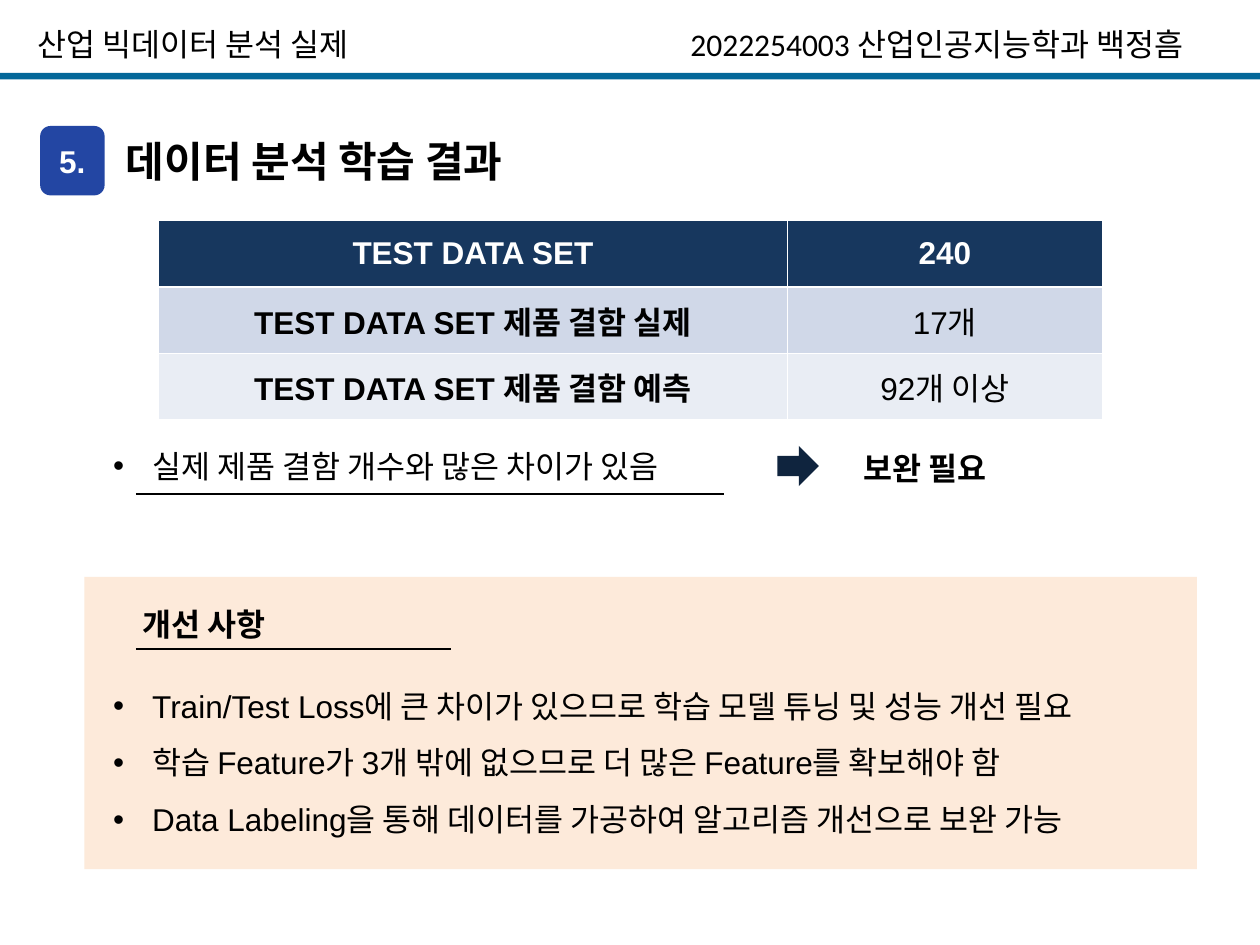
from lxml import etree
from pptx import Presentation
from pptx.dml.color import RGBColor
from pptx.enum.shapes import MSO_CONNECTOR, MSO_SHAPE
from pptx.enum.text import MSO_ANCHOR, MSO_AUTO_SIZE, PP_ALIGN
from pptx.oxml.ns import qn
from pptx.util import Cm, Pt

RECTANGLE = MSO_SHAPE.RECTANGLE
ROUNDED = MSO_SHAPE.ROUNDED_RECTANGLE
RIGHT_ARROW = MSO_SHAPE.RIGHT_ARROW
STRAIGHT = MSO_CONNECTOR.STRAIGHT
MIDDLE = MSO_ANCHOR.MIDDLE
LEFT, CENTER = PP_ALIGN.LEFT, PP_ALIGN.CENTER
FIT_SHAPE = MSO_AUTO_SIZE.SHAPE_TO_FIT_TEXT

BLACK = RGBColor(0x00, 0x00, 0x00)
WHITE = RGBColor(0xFF, 0xFF, 0xFF)
TEAL = RGBColor(0x03, 0x67, 0x99)
BLUE = RGBColor(0x23, 0x46, 0xA3)
NAVY = RGBColor(0x17, 0x37, 0x5E)
DARK_NAVY = RGBColor(0x0F, 0x24, 0x3E)
PEACH = RGBColor(0xFD, 0xEA, 0xDA)
ROW_FILLS = [NAVY, RGBColor(0xD0, 0xD8, 0xE8), RGBColor(0xE9, 0xED, 0xF4)]


class SlideBuilder:
    body_font = "Arial"
    header_font = "Calibri"
    size = Pt(18)
    indent = Cm(0.79)

    def __init__(self, page):
        self.page = page

    def style(self, para, bold=False, color=BLACK, size=None, name=None, align=LEFT):
        para.alignment = align
        font = para.font
        font.name = name or self.body_font
        font.size = size or self.size
        font.bold = bold
        font.color.rgb = color

    def bullet(self, para):
        properties = para._p.get_or_add_pPr()
        properties.set("marL", str(self.indent))
        properties.set("indent", str(-self.indent))
        etree.SubElement(properties, qn("a:buFont"), typeface="Arial")
        etree.SubElement(properties, qn("a:buChar"), char="•")

    def no_margins(self, frame):
        frame.margin_left = frame.margin_right = 0
        frame.margin_top = frame.margin_bottom = 0

    def text(self, left, top, width, height, lines, wrap=True, margins=True,
             bullets=False, spacing=None, **look):
        box = self.page.shapes.add_textbox(Cm(left), Cm(top), Cm(width), Cm(height))
        frame = box.text_frame
        frame.word_wrap = wrap
        frame.auto_size = FIT_SHAPE
        if not margins:
            self.no_margins(frame)
        frame.text = "\n".join(lines)
        for para in frame.paragraphs:
            if bullets:
                self.bullet(para)
            if spacing:
                para.line_spacing = spacing
            self.style(para, **look)

    def shape(self, kind, left, top, width, height, color):
        shape = self.page.shapes.add_shape(kind, Cm(left), Cm(top), Cm(width), Cm(height))
        shape.shadow.inherit = False
        shape.fill.solid()
        shape.fill.fore_color.rgb = color
        shape.line.fill.background()
        return shape

    def badge(self, left, top, width, height, label):
        badge = self.shape(ROUNDED, left, top, width, height, BLUE)
        badge.adjustments[0] = 0.16
        frame = badge.text_frame
        self.no_margins(frame)
        frame.vertical_anchor = MIDDLE
        frame.text = label
        self.style(frame.paragraphs[0], bold=True, color=WHITE, align=CENTER)

    def underline(self, left, top, width, weight):
        line = self.page.shapes.add_connector(
            STRAIGHT, Cm(left), Cm(top), Cm(left + width), Cm(top))
        line.line.color.rgb = BLACK
        line.line.width = Pt(weight)
        etree.SubElement(line._element.spPr, qn("a:effectLst"))

    def table(self, left, top, widths, row_height, rows):
        # The default table style supplies the white cell borders
        table = self.page.shapes.add_table(
            len(rows), len(widths), Cm(left), Cm(top),
            Cm(sum(widths)), Cm(row_height * len(rows))).table
        for column, width in zip(table.columns, widths):
            column.width = Cm(width)
        for r, values in enumerate(rows):
            for c, value in enumerate(values):
                cell = table.cell(r, c)
                cell.fill.solid()
                cell.fill.fore_color.rgb = ROW_FILLS[r]
                cell.vertical_anchor = MIDDLE
                cell.text = value
                self.style(cell.text_frame.paragraphs[0], bold=r == 0 or c == 0,
                           color=BLACK if r else WHITE, align=CENTER)


def main():
    deck = Presentation()
    deck.slide_width, deck.slide_height = Cm(25.4), Cm(19.05)
    builder = SlideBuilder(deck.slides.add_slide(deck.slide_layouts[6]))

    # Page header
    builder.shape(RECTANGLE, 0, 1.47, 25.4, 0.13, TEAL)
    for left, width, label in [(0.51, 7.37, "산업 빅데이터 분석 실제"),
                               (13.67, 11.1, "2022254003 산업인공지능학과 백정흠")]:
        builder.text(left, 0.38, width, 1.02, [label], wrap=False,
                     name=builder.header_font)

    # Section title
    builder.text(2.54, 2.74, 11.43, 0.99, ["데이터 분석 학습 결과"], margins=False,
                 spacing=Pt(28.4), bold=True, size=Pt(24))
    builder.badge(0.81, 2.54, 1.3, 1.4, "5.")

    # Test results
    builder.table(3.2, 4.45, [12.67, 6.35], 1.34, [
        ("TEST DATA SET", "240"),
        ("TEST DATA SET 제품 결함 실제", "17개"),
        ("TEST DATA SET 제품 결함 예측", "92개 이상"),
    ])

    # Finding and conclusion
    builder.underline(2.74, 9.96, 11.86, 0.75)
    builder.text(2.03, 8.89, 17.45, 1.02, ["실제 제품 결함 개수와 많은 차이가 있음"],
                 bullets=True)
    builder.shape(RIGHT_ARROW, 15.67, 8.99, 0.84, 0.81, DARK_NAVY)
    builder.text(17.15, 8.92, 5.28, 1.02, ["보완 필요"], bold=True)

    # Improvements panel
    builder.shape(RECTANGLE, 1.7, 11.63, 22.43, 5.89, PEACH)
    builder.text(2.62, 12.07, 5.28, 1.02, ["개선 사항"], bold=True)
    builder.underline(2.74, 13.08, 6.35, 1.5)
    builder.text(2.03, 13.34, 22.1, 3.58, [
        "Train/Test Loss에 큰 차이가 있으므로 학습 모델 튜닝 및 성능 개선 필요",
        "학습 Feature가 3개 밖에 없으므로 더 많은 Feature를 확보해야 함",
        "Data Labeling을 통해 데이터를 가공하여 알고리즘 개선으로 보완 가능",
    ], bullets=True, spacing=1.5)

    deck.save("out.pptx")


if __name__ == "__main__":
    main()
